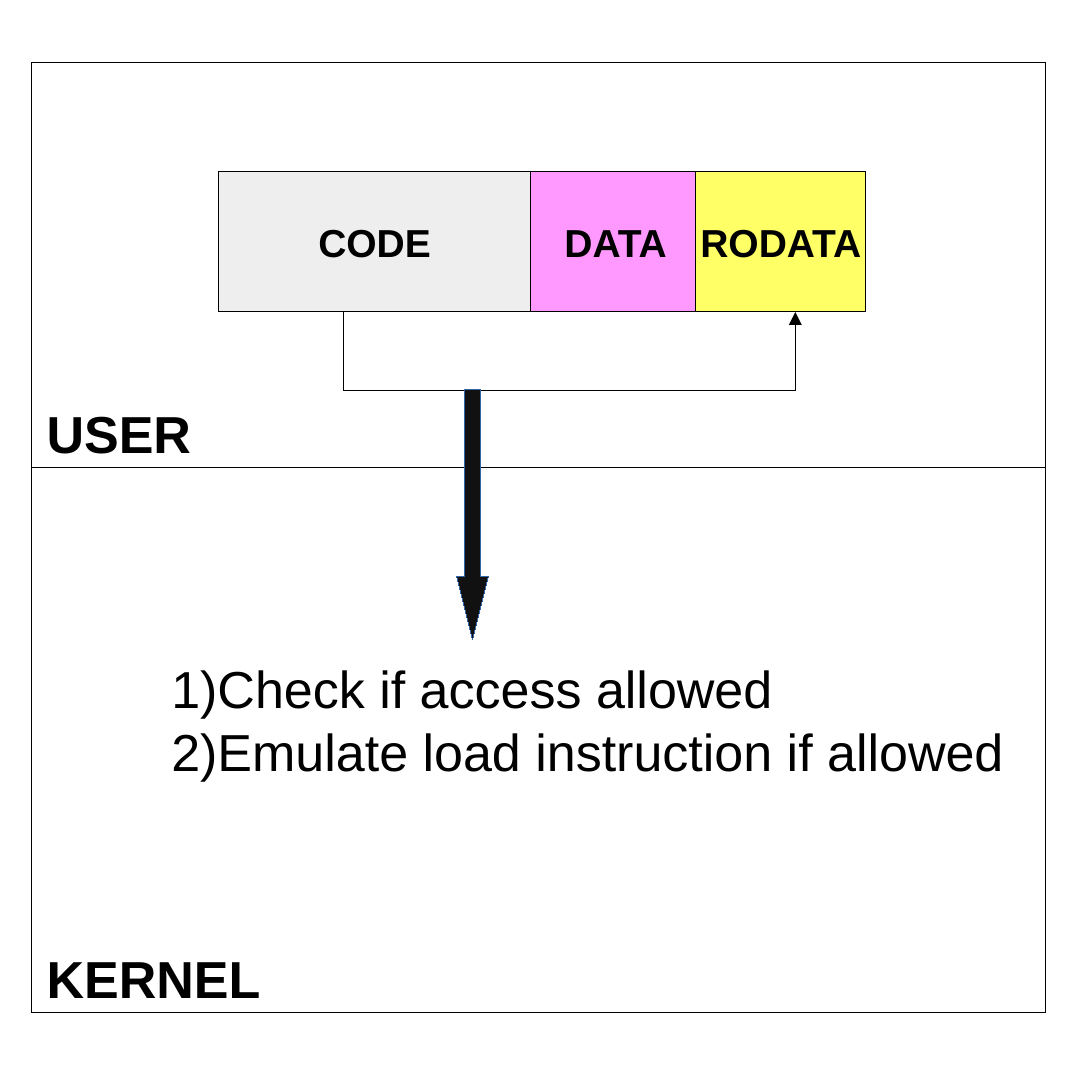
from lxml import etree
from pptx import Presentation
from pptx.dml.color import RGBColor
from pptx.enum.shapes import MSO_CONNECTOR, MSO_SHAPE
from pptx.enum.text import MSO_ANCHOR, PP_ALIGN
from pptx.oxml.ns import qn
from pptx.util import Cm, Pt

RECT, DOWN = MSO_SHAPE.RECTANGLE, MSO_SHAPE.DOWN_ARROW
LINE = MSO_CONNECTOR.STRAIGHT
MIDDLE, CENTER = MSO_ANCHOR.MIDDLE, PP_ALIGN.CENTER

BLACK = RGBColor(0x00, 0x00, 0x00)
WHITE = RGBColor(0xFF, 0xFF, 0xFF)
GREY = RGBColor(0xEE, 0xEE, 0xEE)
PINK = RGBColor(0xFF, 0x99, 0xFF)
YELLOW = RGBColor(0xFF, 0xFF, 0x66)
DARK = RGBColor(0x11, 0x11, 0x11)
BLUE = RGBColor(0x34, 0x65, 0xA4)

# Content; all lengths in cm
SIDE = 17.78
PANELS = [("USER", 6.6, 3), ("KERNEL", 8.86, 4.5)]  # name, height, label width
PARTS = [("CODE", 3.56, 5.08, GREY), ("DATA", 8.64, 2.77, PINK),
         ("RODATA", 11.33, 2.77, YELLOW)]  # name, left, width, fill
STEPS = ["Check if access allowed", "Emulate load instruction if allowed"]

# Layout
PANEL_X, PANEL_Y, PANEL_W = 0.51, 1.02, 16.51
LABEL_H = 1.2
PART_Y, PART_H = 2.79, 2.29
FROM_X, TO_X = 5.59, 12.95
BASE_Y, PATH_Y = PART_Y + PART_H, 6.35

HEAD = {"name": "Arial", "size": Pt(24), "bold": True}
NAME = {"name": "Arial", "size": Pt(18), "bold": True}
BODY = {"name": "Arial", "size": Pt(24), "bold": False}

prs = Presentation()
prs.slide_width = prs.slide_height = Cm(SIDE)
shapes = prs.slides.add_slide(prs.slide_layouts[6]).shapes


def draw_edge(line, color):
    line.color.rgb = color
    # An explicit zero gives a hairline; width = 0 would drop the attribute
    line._get_or_add_ln().set("w", "0")


def add_box(kind, x, y, w, h, fill, edge=BLACK):
    box = shapes.add_shape(kind, Cm(x), Cm(y), Cm(w), Cm(h))
    box.shadow.inherit = False
    box.fill.solid()
    box.fill.fore_color.rgb = fill
    draw_edge(box.line, edge)
    return box


def write(para, text, form):
    para.text = text
    for key, val in form.items():
        setattr(para.font, key, val)
    para.font.color.rgb = BLACK


def add_text(x, y, w, h):
    frame = shapes.add_textbox(Cm(x), Cm(y), Cm(w), Cm(h)).text_frame
    frame.word_wrap = False
    return frame


def add_line(x1, y1, x2, y2):
    line = shapes.add_connector(LINE, Cm(x1), Cm(y1), Cm(x2), Cm(y2))
    draw_edge(line.line, BLACK)
    etree.SubElement(line._element.spPr, qn("a:effectLst"))
    return line


# Panels, stacked, with a label in each lower left corner
top = PANEL_Y
labels = []
for name, high, wide in PANELS:
    add_box(RECT, PANEL_X, top, PANEL_W, high, WHITE)
    top += high
    labels.append((name, top - LABEL_H, wide))
for name, y, wide in labels:
    write(add_text(PANEL_X, y, wide, LABEL_H).paragraphs[0], name, HEAD)

# Memory parts
for name, x, wide, fill in PARTS:
    frame = add_box(RECT, x, PART_Y, wide, PART_H, fill).text_frame
    frame.word_wrap = False
    frame.vertical_anchor = MIDDLE
    frame.paragraphs[0].alignment = CENTER
    write(frame.paragraphs[0], name, NAME)

# Access path from code to read-only data
add_line(FROM_X, PATH_Y, TO_X, PATH_Y)
add_line(FROM_X, PATH_Y, FROM_X, BASE_Y)
rise = add_line(TO_X, PATH_Y, TO_X, BASE_Y)
etree.SubElement(rise.line._get_or_add_ln(), qn("a:tailEnd"), type="triangle")

# Trap into the kernel
trap = add_box(DOWN, 7.44, PATH_Y, 0.51, 4.06, DARK, BLUE)
trap.adjustments[0], trap.adjustments[1] = 0.5, 2

# Numbered steps
frame = add_text(2.54, 10.57, 14.3, 2.13)
for i, step in enumerate(STEPS):
    para = frame.paragraphs[0] if i == 0 else frame.add_paragraph()
    props = para._p.get_or_add_pPr()
    props.set("marL", str(Cm(0.61)))
    props.set("indent", str(-Cm(0.61)))
    etree.SubElement(props, qn("a:buFont"), typeface="Arial")
    etree.SubElement(props, qn("a:buAutoNum"), type="arabicParenR")
    write(para, step, BODY)

prs.save("out.pptx")
